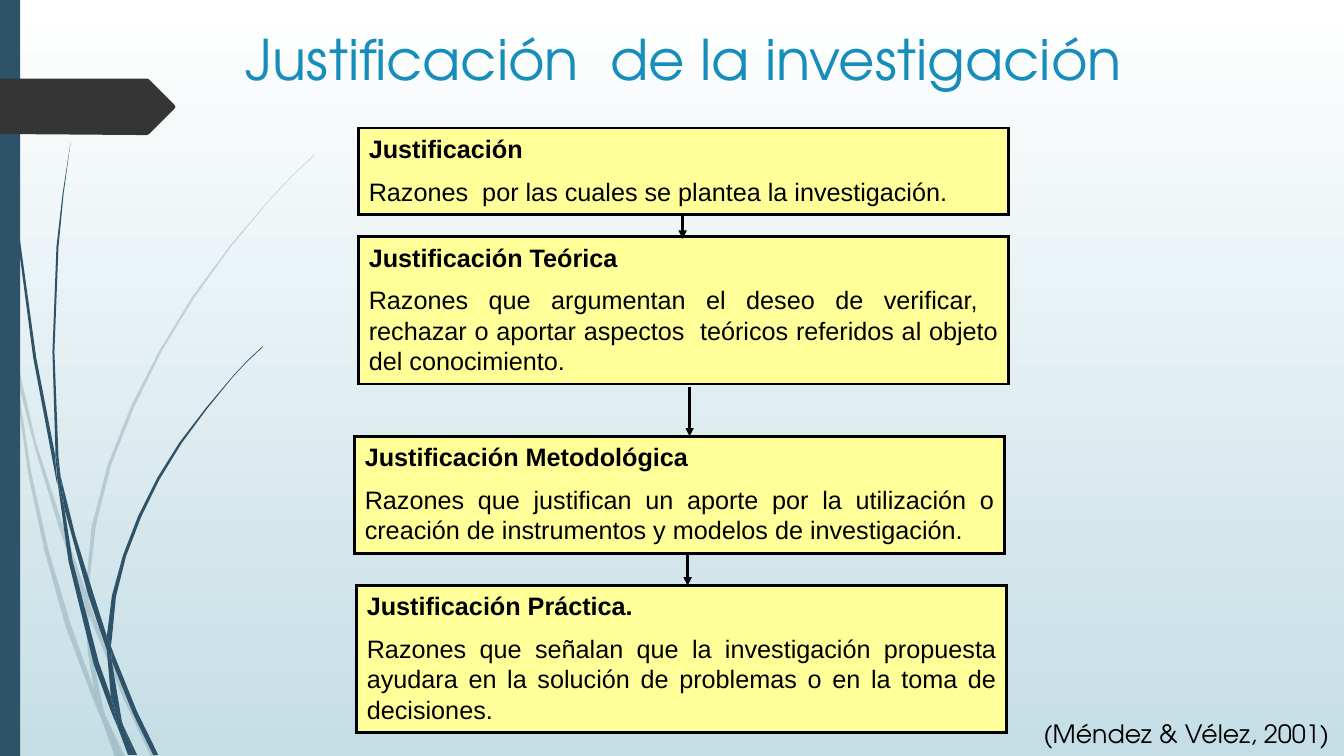
from typing import Any, NamedTuple

from lxml import etree
from pptx import Presentation
from pptx.dml.color import RGBColor
from pptx.enum.shapes import MSO_CONNECTOR, MSO_SHAPE
from pptx.enum.text import MSO_ANCHOR, PP_ALIGN
from pptx.oxml.ns import qn
from pptx.util import Inches, Pt

LINE = MSO_CONNECTOR.STRAIGHT
RECT = MSO_SHAPE.RECTANGLE
TOP = MSO_ANCHOR.TOP
LEFT, JUST = PP_ALIGN.LEFT, PP_ALIGN.JUSTIFY

WHITE = RGBColor(0xFF, 0xFF, 0xFF)
MIST = RGBColor(0xC5, 0xDE, 0xE5)
NAVY = RGBColor(0x2E, 0x53, 0x69)
COAL = RGBColor(0x35, 0x35, 0x35)
BLUE = RGBColor(0x17, 0x8D, 0xBB)
CREAM = RGBColor(0xFF, 0xFF, 0x99)
BLACK = RGBColor(0, 0, 0)

BODY = {"name": "Arial", "size": Pt(18), "bold": False}
HEAD = BODY | {"bold": True}
TITLE = {"name": "TeX Gyre Adventor", "size": Pt(40)}
CITE = TITLE | {"size": Pt(18)}

Point = tuple[float, float]


class Tuft(NamedTuple):
    alpha: int
    blades: list[list[Point]]


class Card(NamedTuple):
    x: float
    y: float
    height: float
    head: str
    body: str
    first: Any = LEFT
    last: Any = JUST


class Arrow(NamedTuple):
    x: float
    top: float
    end: float


PALE = Tuft(20, [
    [(.11, 3.5), (.09, 3.22), (0, 2.82), (0, 2.99), (.1, 3.44)],
    [(.58, 5.22), (.84, 5.99), (.85, 5.86), (.62, 5.2), (.36, 4.4), (.14, 3.45),
     (.17, 3.76), (.35, 4.46)],
    [(.92, 6.07), (.88, 5.96), (.88, 6.1), (1.23, 6.94), (1.5, 7.51),
     (1.55, 7.51), (1.27, 6.92)],
    [(1.19, 7.51), (1.24, 7.51), (1.05, 7.11)],
    [(.93, 6.83), (.7, 6.19), (.48, 5.45), (.31, 4.69), (.17, 3.76), (.11, 3.5),
     (.28, 4.7), (.44, 5.46), (.65, 6.21), (.92, 6.93), (1.01, 7.14), (.99, 7.07)],
    [(.84, 5.99), (.87, 6.46), (.93, 6.83), (.96, 6.92), (1.05, 7.11),
     (1.03, 7.06), (.91, 6.46), (.88, 6.1), (.88, 6.08)],
    [(.88, 5.84), (.95, 5.22), (1.1, 4.62), (1.33, 4.04), (1.6, 3.49),
     (1.93, 2.95), (2.29, 2.45), (2.68, 1.98), (2.9, 1.75), (3.12, 1.54),
     (3.12, 1.53), (2.89, 1.75), (2.68, 1.97), (2.28, 2.44), (1.91, 2.94),
     (1.58, 3.48), (1.3, 4.03), (1.07, 4.61), (.91, 5.22), (.85, 5.84),
     (.85, 5.86), (.88, 5.96)],
    [(1.01, 7.14), (1.14, 7.51), (1.19, 7.51)],
    [(.88, 6.08), (.88, 6.1), (.88, 5.96), (.85, 5.86), (.84, 5.99)],
    [(.96, 6.92), (.93, 6.83), (.99, 7.07), (1.01, 7.14), (1.19, 7.51), (1.05, 7.11)],
])
DARK = Tuft(100, [
    [(.07, 1.1), (.17, 2.33), (.33, 3.55), (.56, 4.77), (.57, 4.81), (.55, 4.57),
     (.55, 4.53), (.36, 3.55), (.19, 2.32), (.08, 1.09), (.05, .48), (.04, 0),
     (.03, 0), (.04, .48)],
    [(.88, 5.92), (1.06, 6.45), (1.06, 6.33), (1.06, 6.31), (.93, 5.9),
     (.75, 5.32), (.6, 4.72), (.64, 5.05)],
    [(1.13, 6.49), (1.1, 6.41), (1.11, 6.56), (1.32, 7.08), (1.52, 7.49),
     (1.57, 7.49), (1.36, 7.06)],
    [(1.1, 6.91), (.98, 6.57), (.72, 5.56), (.64, 5.05), (.57, 4.77),
     (.68, 5.57), (.93, 6.59), (1.11, 7.08), (1.17, 7.22), (1.16, 7.17)],
    [(.6, 4.72), (.58, 4.53), (.54, 3.49), (.58, 2.45), (.63, 1.93), (.7, 1.41),
     (.62, 1.93), (.56, 2.45), (.52, 3.49), (.55, 4.49)],
    [(1.33, 7.49), (1.36, 7.49), (1.22, 7.19)],
    [(.57, 4.77), (.64, 5.05), (.6, 4.72), (.55, 4.49), (.55, 4.53)],
    [(1.11, 6.33), (1.15, 5.92), (1.25, 5.52), (1.4, 5.13), (1.58, 4.76),
     (1.8, 4.4), (2.05, 4.06), (2.31, 3.74), (2.45, 3.59), (2.61, 3.44),
     (2.6, 3.44), (2.45, 3.58), (2.31, 3.73), (2.04, 4.05), (1.78, 4.39),
     (1.56, 4.74), (1.37, 5.12), (1.22, 5.51), (1.11, 5.91), (1.06, 6.31),
     (1.1, 6.41)],
    [(1.17, 7.22), (1.27, 7.49), (1.31, 7.49)],
    [(1.06, 6.45), (1.1, 6.91), (1.16, 7.06), (1.22, 7.19), (1.21, 7.16),
     (1.11, 6.56), (1.09, 6.51)],
    [(1.06, 6.45), (1.09, 6.51), (1.11, 6.56), (1.1, 6.41), (1.06, 6.31), (1.06, 6.33)],
    [(1.16, 7.06), (1.1, 6.91), (1.16, 7.17), (1.17, 7.22), (1.3, 7.49),
     (1.33, 7.49), (1.22, 7.19)],
])
TAG = [(1.73, 1.08), (1.48, 1.33), (1.46, 1.34), (1.36, 1.34), (0, 1.33), (0, .78),
       (1.36, .78), (1.46, .78), (1.48, .79), (1.73, 1.04), (1.74, 1.06)]
CARDS = [
    Card(3.56, 1.27, .86, "Justificación",
         "Razones  por las cuales se plantea la investigación.", last=LEFT),
    Card(3.56, 2.35, 1.46, "Justificación Teórica",
         "Razones que argumentan el deseo de verificar,  rechazar o aportar "
         "aspectos  teóricos referidos al objeto del conocimiento."),
    Card(3.52, 4.33, 1.16, "Justificación Metodológica",
         "Razones que justifican un aporte por la utilización o creación de "
         "instrumentos y modelos de investigación.", JUST),
    Card(3.54, 5.81, 1.46, "Justificación Práctica.",
         "Razones que señalan que la investigación propuesta ayudara en la "
         "solución de problemas o en la toma de decisiones.", JUST),
]
ARROWS = [Arrow(6.77, 2.13, 2.37), Arrow(6.84, 3.84, 4.33), Arrow(6.82, 5.49, 5.81)]

deck = Presentation()
deck.slide_width, deck.slide_height = Inches(13.33), Inches(7.5)
slide = deck.slides.add_slide(deck.slide_layouts[6])
shapes = slide.shapes


def paint(shape: Any, color: RGBColor, alpha: int = 100) -> None:
    shape.shadow.inherit = False
    shape.fill.solid()
    shape.fill.fore_color.rgb = color
    shape.line.fill.background()
    if alpha < 100:
        tint = shape.fill._xPr.find(".//" + qn("a:srgbClr"))
        etree.SubElement(tint, qn("a:alpha"), val=str(alpha * 1000))


def outline(home: Any, points: list[Point], color: RGBColor, alpha: int = 100) -> None:
    spots = [(Inches(x), Inches(y)) for x, y in points]
    pen = home.build_freeform(*spots[0])
    pen.add_line_segments(spots[1:], close=True)
    paint(pen.convert_to_shape(), color, alpha)


def plant(tuft: Tuft) -> None:
    group = shapes.add_group_shape()
    for blade in tuft.blades:
        outline(group.shapes, blade, NAVY, tuft.alpha)


def write(para: Any, text: str, style: dict[str, Any], color: RGBColor) -> None:
    run = para.add_run()
    run.text = text
    for key, value in style.items():
        setattr(run.font, key, value)
    run.font.color.rgb = color


def label(x: float, y: float, width: float, height: float, text: str,
          style: dict[str, Any], color: RGBColor) -> None:
    box = shapes.add_textbox(Inches(x), Inches(y), Inches(width), Inches(height))
    box.text_frame.word_wrap = True
    box.text_frame.vertical_anchor = TOP
    write(box.text_frame.paragraphs[0], text, style, color)


def place(card: Card) -> None:
    box = shapes.add_shape(RECT, Inches(card.x), Inches(card.y),
                           Inches(6.44), Inches(card.height))
    paint(box, CREAM)
    box.line.color.rgb, box.line.width = BLACK, Pt(2)
    etree.SubElement(box.line._get_or_add_ln(), qn("a:miter"), lim="800000")
    frame = box.text_frame
    frame.word_wrap, frame.vertical_anchor = True, TOP
    first, last = frame.paragraphs[0], frame.add_paragraph()
    first.alignment, last.alignment = card.first, card.last
    last.space_before = Pt(9)
    write(first, card.head, HEAD, BLACK)
    write(last, card.body, BODY, BLACK)


def link(arrow: Arrow) -> None:
    line = shapes.add_connector(LINE, Inches(arrow.x), Inches(arrow.top),
                                Inches(arrow.x), Inches(arrow.end))
    line.line.color.rgb, line.line.width = BLACK, Pt(2)
    etree.SubElement(line.line._get_or_add_ln(), qn("a:tailEnd"), type="triangle")
    etree.SubElement(line._element.spPr, qn("a:effectLst"))


# Background
back = slide.background.fill
back.gradient()
back.gradient_angle = 270
for stop, color in zip(back.gradient_stops, (WHITE, MIST)):
    stop.color.rgb = color

# Side decoration
for tuft in (PALE, DARK):
    plant(tuft)
paint(shapes.add_shape(RECT, 0, 0, Inches(.2), Inches(7.5)), NAVY)
outline(shapes, TAG, COAL)

# Title, cards, arrows and citation
label(2.34, .19, 9.75, 1.4, "Justificación  de la investigación", TITLE, BLUE)
for card in CARDS:
    place(card)
for arrow in ARROWS:
    link(arrow)
label(10.25, 7.08, 3.08, .4, "(Méndez & Vélez, 2001)", CITE, BLACK)

deck.save("out.pptx")
